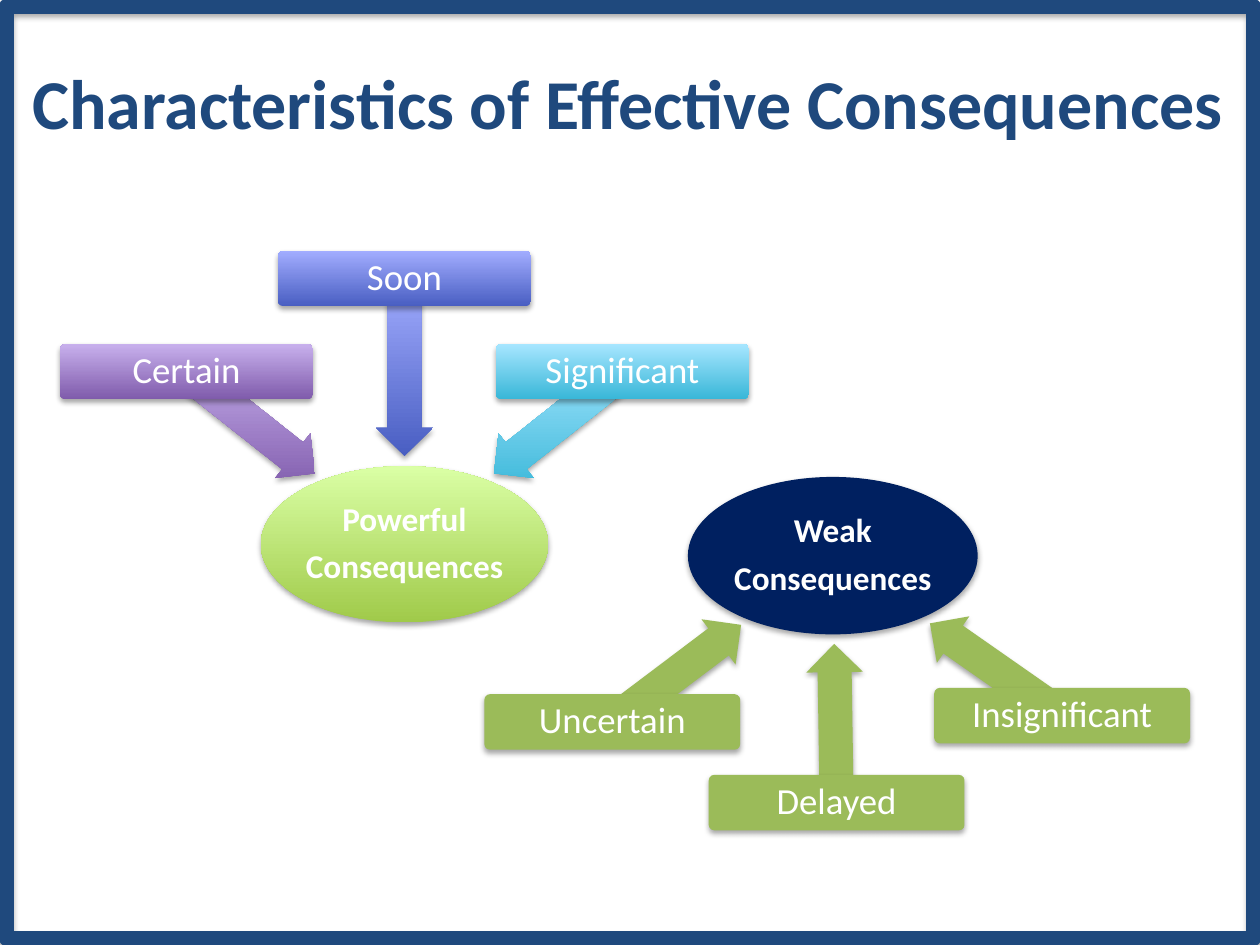
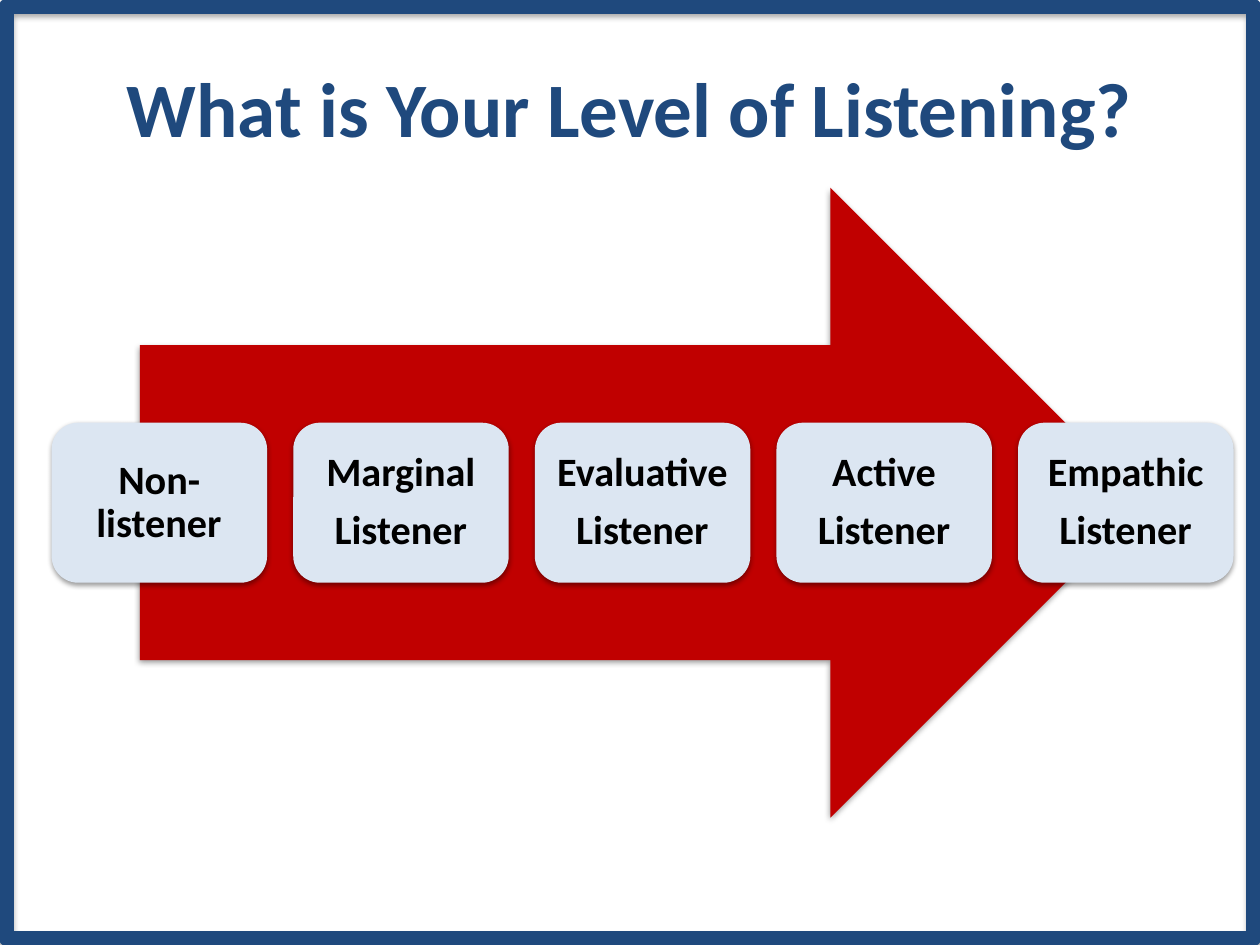
from math import atan2, cos, degrees, sin

from lxml import etree
from pptx import Presentation
from pptx.dml.color import RGBColor
from pptx.enum.shapes import MSO_SHAPE
from pptx.enum.text import MSO_ANCHOR, PP_ALIGN
from pptx.oxml.ns import qn
from pptx.util import Inches, Pt

RECT, ROUND = MSO_SHAPE.RECTANGLE, MSO_SHAPE.ROUNDED_RECTANGLE
OVAL, LEFT, RIGHT = MSO_SHAPE.OVAL, MSO_SHAPE.LEFT_ARROW, MSO_SHAPE.RIGHT_ARROW
MID, LOW = MSO_ANCHOR.MIDDLE, MSO_ANCHOR.BOTTOM
CENTER = PP_ALIGN.CENTER

# Shared look
WIDE, HIGH = 10, 7.5
FONT, NAVY, WHITE, BLACK = "Calibri", "1F497D", "FFFFFF", "000000"
EDGE = 0.05
SOFT, DEEP = (35, 1.8), (38, 1.6)  # shadow: opacity %, distance pt

# Slide 1: a hub, its box size, and boxes as (label, centre, arrow length, fill)
# A pair of colours is a gradient from bottom to top
GREEN = "9BBB59"
HUBS = [
    dict(text="Powerful\nConsequences", mid=(3.21, 4.32), size=(2.28, 1.24),
         fill=("A0CA4A", "DAFFA5"), box=(2.01, 0.44), parts=[
             ("Certain", (1.48, 2.95), 1.3, ("7F5BAB", "C8B0ED")),
             ("Soon", (3.21, 2.21), 1.41, ("495EC2", "A2ADFF")),
             ("Significant", (4.94, 2.95), 1.3, ("39B7D8", "A7E6FF"))]),
    dict(text="Weak\nConsequences", mid=(6.61, 4.41), size=(2.3, 1.25),
         fill="002060", box=(2.03, 0.44), parts=[
             ("Uncertain", (4.86, 5.73), 1.28, GREEN),
             ("Delayed", (6.64, 6.37), 1.26, GREEN),
             ("Insignificant", (8.43, 5.68), 1.28, GREEN)]),
]
THICK = 0.45

# Slide 2: cards on a wide arrow
CARDS = ["Non-\vlistener\t", "Marginal\nListener", "Evaluative\nListener",
         "Active\nListener", "Empathic\nListener"]
ARROW = (1.11, 1.49, 7.98, 5)
CARD = (1.71, 1.27)
START, END = 0.41, 9.79


def rgb(code):
    return RGBColor.from_string(code)


def write(shape, text, size, color, bold=False, inset=None, anchor=MID, loose=True):
    frame = shape.text_frame
    frame.text = ""
    frame.word_wrap = True
    frame.vertical_anchor = anchor
    if inset is not None:
        frame.margin_left = frame.margin_right = Inches(inset)
        frame.margin_top = frame.margin_bottom = Inches(inset)
    for i, line in enumerate(text.split("\n")):
        para = frame.add_paragraph() if i else frame.paragraphs[0]
        para.text = line
        para.alignment = CENTER
        if loose:
            para.line_spacing = 0.9
            after = etree.SubElement(para._p.get_or_add_pPr(), qn("a:spcAft"))
            etree.SubElement(after, qn("a:spcPct"), val="35000")
        for run in para.runs:
            font = run.font
            font.name, font.size, font.bold = FONT, Pt(size), bold
            font.color.rgb = rgb(color)


def shade(shape, look):
    alpha, dist = look
    shape.shadow.inherit = False
    effects = shape._element.spPr.find(qn("a:effectLst"))
    outer = etree.SubElement(
        effects, qn("a:outerShdw"), blurRad=str(Pt(3.1)), dist=str(Pt(dist)),
        dir="5400000", rotWithShape="0")
    tint = etree.SubElement(outer, qn("a:srgbClr"), val=BLACK)
    etree.SubElement(tint, qn("a:alpha"), val=str(alpha * 1000))


def draw(slide, kind, at, fill, look=SOFT, adj=()):
    shape = slide.shapes.add_shape(kind, *map(Inches, at))
    for i, value in enumerate(adj):
        shape.adjustments[i] = value
    if fill is None:
        shape.fill.background()
    elif isinstance(fill, str):
        shape.fill.solid()
        shape.fill.fore_color.rgb = rgb(fill)
    else:
        shape.fill.gradient()
        shape.fill.gradient_angle = 90
        for stop, code in zip(shape.fill.gradient_stops, fill):
            stop.color.rgb = rgb(code)
        shape._element.spPr.find(qn("a:gradFill")).set("rotWithShape", "0")
    shape.line.fill.background()
    shade(shape, look)
    return shape


def around(mid, size):
    return (mid[0] - size[0] / 2, mid[1] - size[1] / 2, *size)


def start(deck, title, at, size, anchor):
    """Add a slide with the frame and a title."""
    slide = deck.slides.add_slide(deck.slide_layouts[6])
    frame = draw(slide, RECT, (EDGE, EDGE, WIDE - 2 * EDGE, HIGH - 2 * EDGE), None)
    frame.line.color.rgb = rgb(NAVY)
    frame.line.width = Pt(8.75)
    box = slide.shapes.add_textbox(*map(Inches, at))
    write(box, title, size, NAVY, True, anchor=anchor, loose=False)
    return slide


def hub(slide, text, mid, size, fill, box, parts):
    oval = draw(slide, OVAL, around(mid, size), fill)
    write(oval, text, 19, WHITE, True, 0.01)
    for label, spot, length, tone in parts:
        # Each arrow leaves its box's centre and heads for the hub's centre
        turn = atan2(mid[1] - spot[1], mid[0] - spot[0])
        half = (spot[0] + length / 2 * cos(turn), spot[1] + length / 2 * sin(turn))
        arrow = draw(slide, LEFT, around(half, (length, THICK)), tone, adj=(0.6, 0.5))
        arrow.rotation = degrees(turn) + 180
        plate = draw(slide, ROUND, around(spot, box), tone, adj=(0.1,))
        write(plate, label, 21, WHITE, inset=0.04)


def main():
    deck = Presentation()
    deck.slide_width, deck.slide_height = Inches(WIDE), Inches(HIGH)

    # Consequences
    slide = start(deck, "Characteristics of Effective Consequences",
                  (0.04, 0.48, 9.88, 0.71), 40, LOW)
    for item in HUBS:
        hub(slide, **item)

    # Listening levels
    slide = start(deck, "What is Your Level of Listening?",
                  (0, 0.42, WIDE, 0.86), 44, MID)
    draw(slide, RIGHT, ARROW, "C00000", DEEP)
    step = (END - START - CARD[0]) / (len(CARDS) - 1)
    top = ARROW[1] + (ARROW[3] - CARD[1]) / 2
    for i, text in enumerate(CARDS):
        card = draw(slide, ROUND, (START + i * step, top, *CARD), "DCE6F2", DEEP)
        write(card, text, 23, BLACK, True, 0.1)

    deck.save("out.pptx")


if __name__ == "__main__":
    main()
